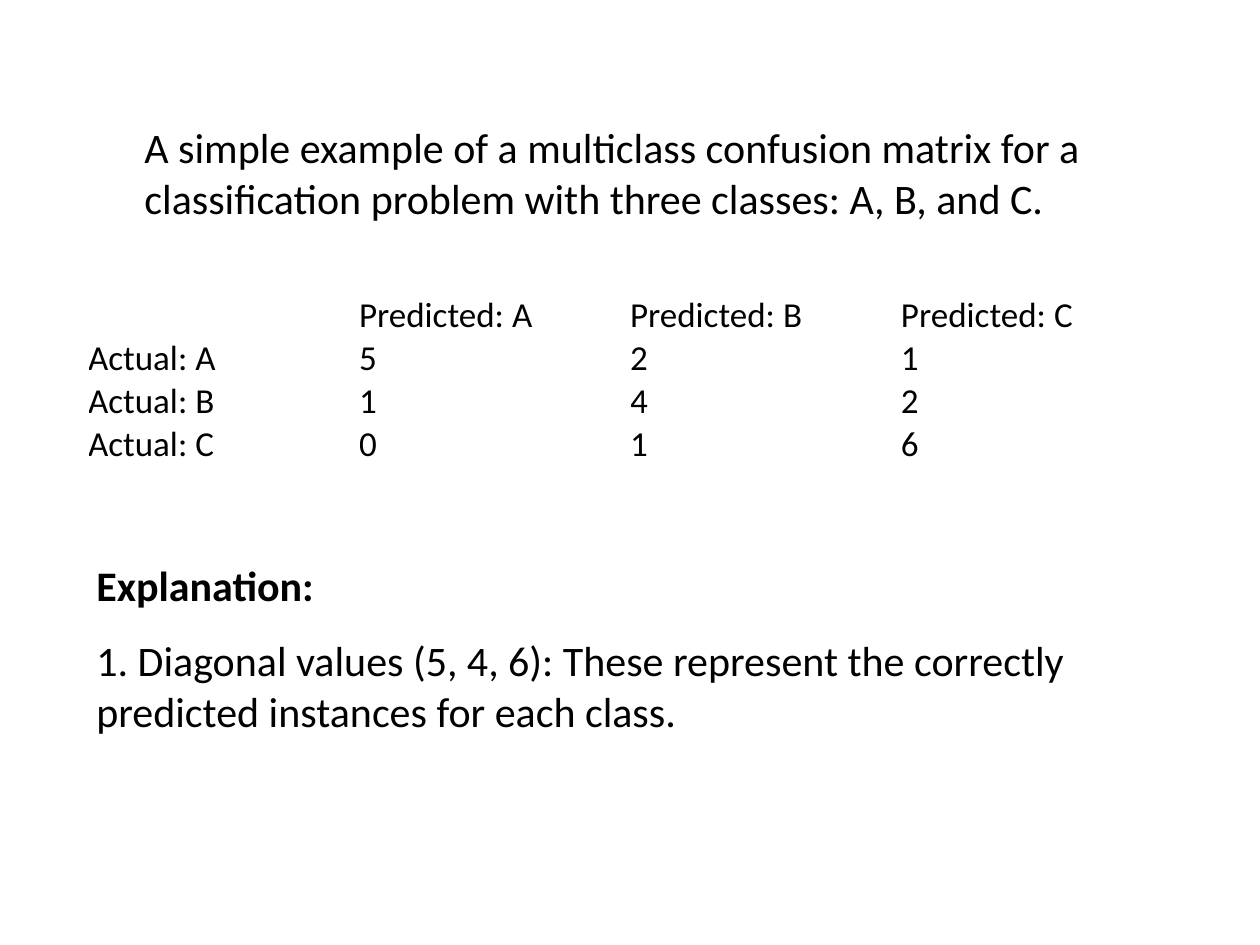
from lxml.etree import SubElement as Sub
from pptx import Presentation as Deck
from pptx.dml.color import RGBColor as RGB
from pptx.enum.text import MSO_ANCHOR as Anchor
from pptx.oxml.ns import qn
from pptx.util import Emu, Pt

BLACK = RGB(0, 0, 0)
SCALE = 914400 / 126


def px(n):
    return Emu(round(n * SCALE))


class Page:
    font = "Calibri"
    color = BLACK

    def __init__(self, slide):
        self.slide = slide

    def run(self, para, text, size, bold=False):
        run = para.add_run()
        run.text = text
        font = run.font
        font.name, font.size, font.bold = self.font, Pt(size), bold
        font.color.rgb = self.color

    def box(self, x, y, w, h, top=6):
        shape = self.slide.shapes.add_textbox(px(x), px(y), px(w), px(h))
        frame = shape.text_frame
        frame.word_wrap = True
        frame.margin_top = px(top)
        return frame

    def number(self, para):
        props = para._p.get_or_add_pPr()
        props.set("marL", "0")
        props.set("indent", "0")
        Sub(props, qn("a:buFont"), typeface="+mj-lt")
        Sub(props, qn("a:buAutoNum"), type="arabicPeriod")

    def table(self, rows, x, y, wide, high, size):
        count = len(rows[0])
        table = self.slide.shapes.add_table(
            len(rows), count, px(x), px(y), px(wide * count), px(high * len(rows))
        ).table
        table.first_row = table.horz_banding = False
        for row, texts in zip(table.rows, rows):
            row.height = px(high)
            for cell, text in zip(row.cells, texts):
                cell.fill.background()
                cell.vertical_anchor = Anchor.MIDDLE
                cell.margin_left = cell.margin_right = 0
                cell.margin_top = cell.margin_bottom = 0
                if text:
                    self.run(cell.text_frame.paragraphs[0], text, size)


def main():
    deck = Deck()
    deck.slide_width, deck.slide_height = px(1260), px(945)
    page = Page(deck.slides.add_slide(deck.slide_layouts[6]))

    intro = page.box(132, 116, 992, 98)
    page.run(
        intro.paragraphs[0],
        "A simple example of a multiclass confusion matrix for a "
        "classification problem with three classes: A, B, and C.",
        24,
    )

    notes = page.box(84, 514, 1068, 336, top=45)
    head = notes.paragraphs[0]
    head.space_after = Pt(14.4)
    page.run(head, "Explanation:", 24, bold=True)
    item = notes.add_paragraph()
    page.number(item)
    page.run(
        item,
        " Diagonal values (5, 4, 6): These represent the correctly "
        "predicted instances for each class.",
        24,
    )

    names = "ABC"
    counts = [(5, 2, 1), (1, 4, 2), (0, 1, 6)]
    rows = [[""] + [f"Predicted: {name}" for name in names]]
    for name, line in zip(names, counts):
        rows.append([f"Actual: {name}"] + [str(n) for n in line])
    page.table(rows, 88, 294, 271, 43, 20)

    deck.save("out.pptx")


if __name__ == "__main__":
    main()
